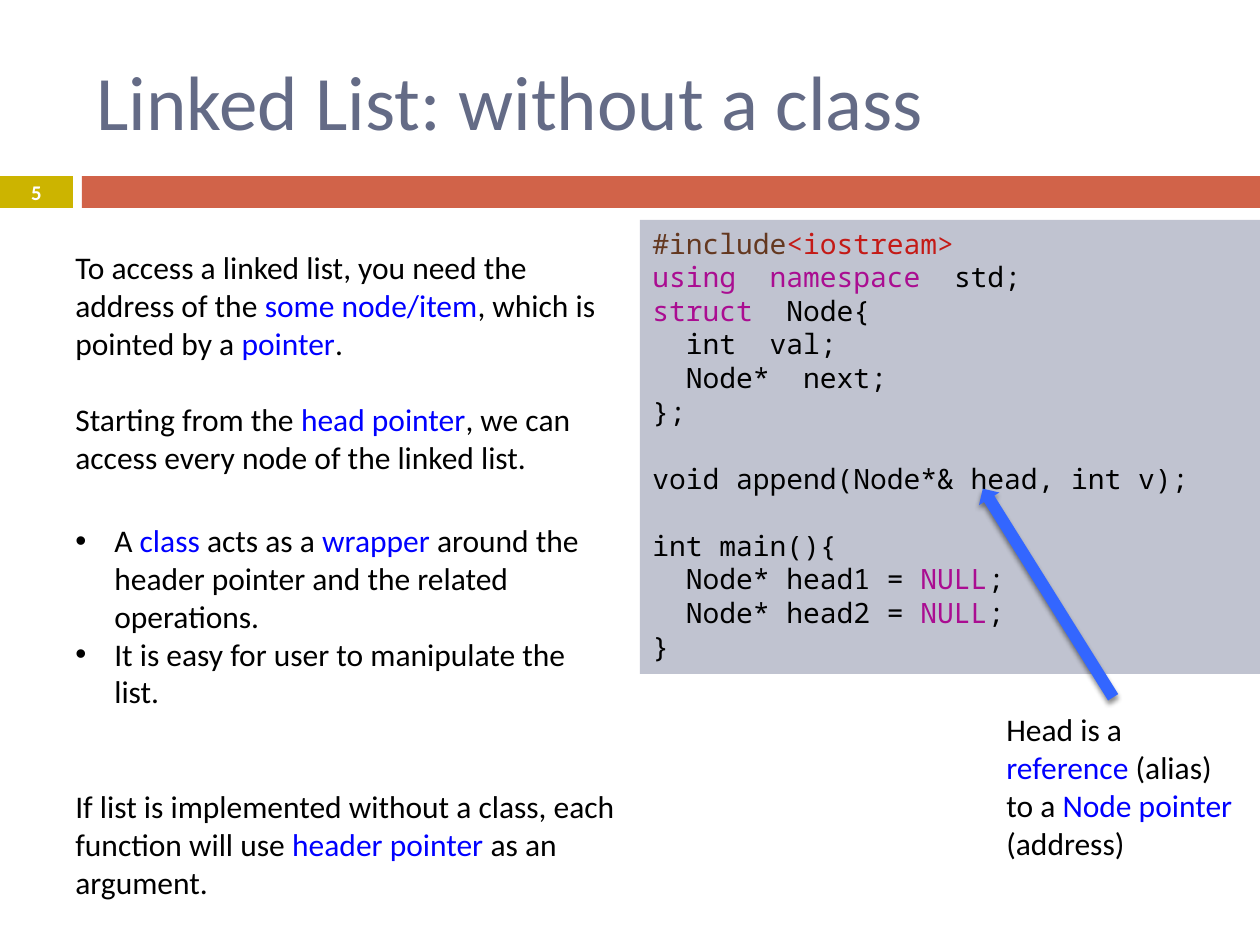
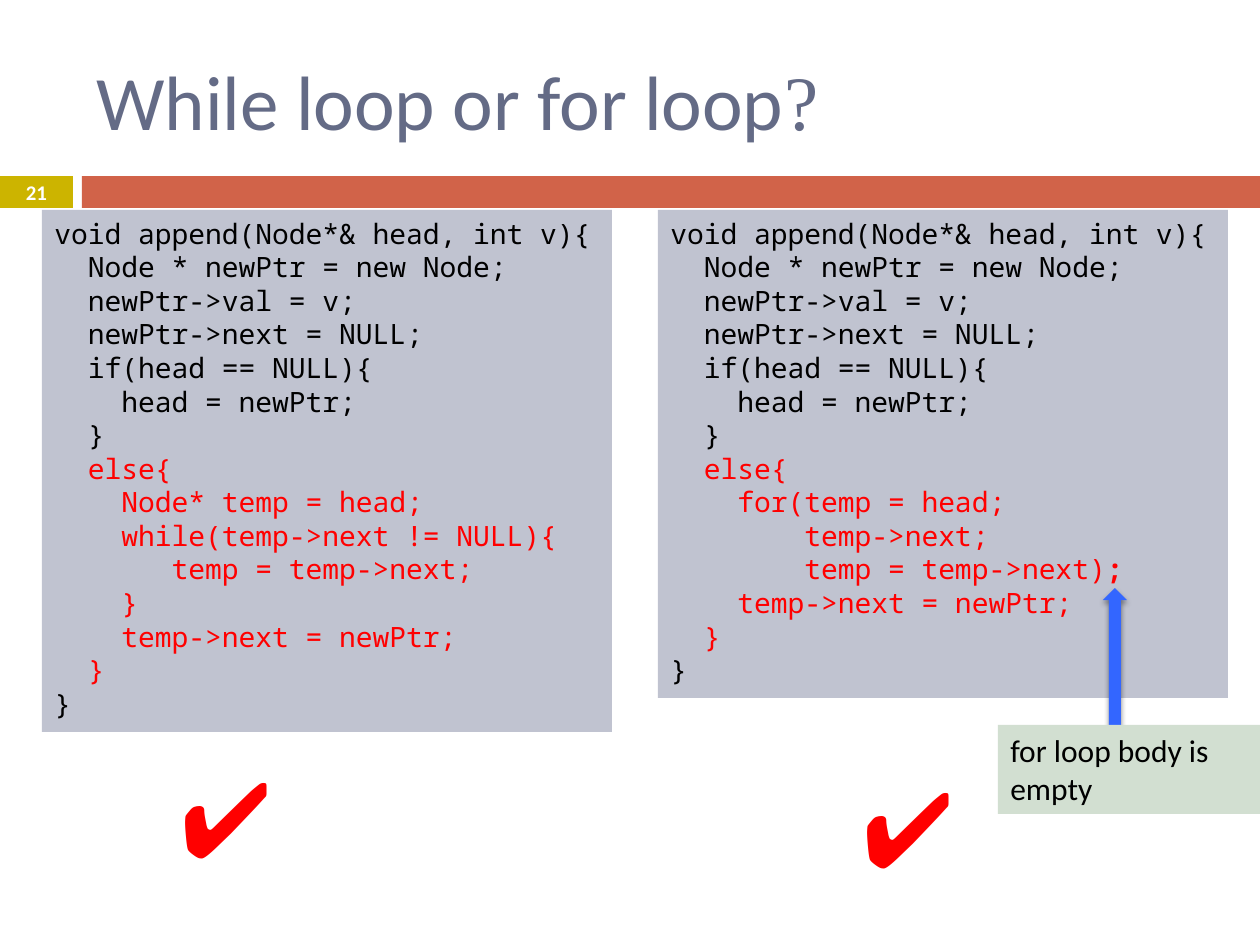
from lxml.etree import SubElement
from pptx import Presentation
from pptx.dml.color import RGBColor
from pptx.enum.shapes import MSO_SHAPE
from pptx.enum.text import MSO_ANCHOR, PP_ALIGN
from pptx.oxml.ns import qn
from pptx.util import Emu, Pt

SCALE = 914400 / 126
COLORS = {
    "title": "646B86",
    "number_tab": "CCB400",
    "band": "D16349",
    "code_panel": "C0C3D0",
    "note_panel": "D2DFD1",
    "arrow": "3366FF",
    "white": "FFFFFF",
    "black": "000000",
    "blue": "0000FF",
    "red": "FF0000",
    "keyword": "AA0D91",
    "directive": "643820",
    "header": "C41A16",
}
BODY_FONT = "Calibri"
CODE_FONT = "Noto Sans Mono"
BODY_LINE = 22
CODE_LINE = 19.2

INTRO = [
    ["To access a linked list, you need the address of the ", ("some node/item", "blue"),
     ", which is pointed by a ", ("pointer", "blue"), "."],
    ["Starting from the ", ("head pointer", "blue"),
     ", we can access every node of the linked list."],
]
WRAPPER_POINTS = [
    ["A ", ("class", "blue"), " acts as a ", ("wrapper", "blue"),
     " around the header pointer and the related operations."],
    ["It is easy for user to manipulate the list."],
    ["If list is implemented without a class, each function will use ",
     ("header pointer ", "blue"), "as an argument."],
]
REFERENCE_NOTE = [
    ["Head is a ", ("reference", "blue"), " (alias) to a ",
     ("Node pointer ", "blue"), "(address)"],
]
NODE_CODE = [
    [("#include", "directive"), ("<iostream>", "header")],
    [("using  namespace  ", "keyword"), "std;"],
    [("struct", "keyword"), "  Node{"],
    ["  int  val;"],
    ["  Node*  next;"],
    ["};"],
    ["void append(Node*& head, int v);"],
    ["int main(){"],
    ["  Node* head1 = ", ("NULL", "keyword"), ";"],
    ["  Node* head2 = ", ("NULL", "keyword"), ";"],
    ["}"],
]
APPEND_START = [
    ["void append(Node*& head, int v){"],
    ["  Node * newPtr = new Node;"],
    ["  newPtr->val = v;"],
    ["  newPtr->next = NULL;"],
    ["  if(head == NULL){"],
    ["    head = newPtr;"],
    ["  }"],
    [("  else{", "red")],
]
WHILE_LOOP = [
    [("    Node* temp = head;", "red")],
    [("    while(temp->next != NULL){", "red")],
    [("       temp = temp->next;", "red")],
    [("    }", "red")],
]
FOR_LOOP = [
    [("    for(temp = head;", "red")],
    [("        temp->next;", "red")],
    [("        temp = temp->next)", "red"), (";", "red", True)],
]
APPEND_END = [
    [("    temp->next = newPtr;", "red")],
    [("  }", "red")],
    ["}"],
]


def px(*lengths):
    return [Emu(round(length * SCALE)) for length in lengths]


def rgb(name):
    return RGBColor.from_string(COLORS[name])


def format_run(run, size, font, color, bold=False):
    run.font.size = Pt(size)
    run.font.name = font
    run.font.bold = bold
    run.font.color.rgb = rgb(color)


def set_bullet(paragraph):
    properties = paragraph._p.get_or_add_pPr()
    indent = px(39)[0]
    properties.set("marL", str(indent))
    properties.set("indent", str(-indent))
    SubElement(properties, qn("a:buFont")).set("typeface", "Arial")
    SubElement(properties, qn("a:buChar")).set("char", "•")


def write_lines(shape, lines, size=18, font=BODY_FONT, gaps=None, bullets=()):
    text_frame = shape.text_frame
    text_frame.word_wrap = True
    text_frame.vertical_anchor = MSO_ANCHOR.TOP
    for index, line in enumerate(lines):
        paragraph = text_frame.add_paragraph() if index else text_frame.paragraphs[0]
        paragraph.alignment = PP_ALIGN.LEFT
        if gaps and index in gaps:
            paragraph.space_before = Pt(gaps[index])
        if index in bullets:
            set_bullet(paragraph)
        for part in line:
            text, *style = (part, "black") if isinstance(part, str) else part
            run = paragraph.add_run()
            run.text = text
            format_run(run, size, font, *style)


def add_block(slide, box, fill, kind=MSO_SHAPE.RECTANGLE):
    shape = slide.shapes.add_shape(kind, *px(*box))
    shape.shadow.inherit = False
    shape.fill.solid()
    shape.fill.fore_color.rgb = rgb(fill)
    shape.line.fill.background()
    return shape


def add_text(slide, box, lines, **options):
    shape = slide.shapes.add_textbox(*px(*box))
    write_lines(shape, lines, **options)
    return shape


def add_code(slide, box, lines, gaps=None):
    write_lines(add_block(slide, box, "code_panel"), lines, 16, CODE_FONT, gaps)


def add_arrow(slide, box, rotation):
    arrow = add_block(slide, box, "arrow", MSO_SHAPE.RIGHT_ARROW)
    arrow.rotation = rotation
    effects = arrow._element.spPr.find(qn("a:effectLst"))
    shadow = SubElement(effects, qn("a:outerShdw"), blurRad=str(Pt(3)),
                        dist=str(Pt(2.4)), dir="5400000", rotWithShape="0")
    color = SubElement(shadow, qn("a:srgbClr"), val=COLORS["black"])
    SubElement(color, qn("a:alpha"), val="45000")


def add_check(slide, left, top):
    add_text(slide, (left, top, 223, 140), [[("✔", "red")]], size=60, font="Arial")


def add_base_slide(presentation, title, number):
    slide = presentation.slides.add_slide(presentation.slide_layouts[6])
    add_block(slide, (0, 176, 73, 32), "number_tab")
    add_block(slide, (82, 176, 1178, 32), "band")
    heading = add_text(slide, (84, 32, 1124, 136), [title], size=44)
    heading.text_frame.vertical_anchor = MSO_ANCHOR.MIDDLE
    tab = add_text(slide, (0, 175, 73, 34), [[(number, "white", True)]], size=11.9)
    tab.text_frame.vertical_anchor = MSO_ANCHOR.MIDDLE
    tab.text_frame.paragraphs[0].alignment = PP_ALIGN.CENTER
    return slide, heading


def build_without_class(presentation):
    slide, _ = add_base_slide(presentation, [("Linked List: without a class", "title")], "5")
    add_code(slide, (640, 220, 620, 454), NODE_CODE, gaps={6: CODE_LINE, 7: CODE_LINE})
    add_text(slide, (63, 242, 557, 242), INTRO, gaps={1: BODY_LINE})
    add_text(slide, (63, 515, 567, 356), WRAPPER_POINTS,
             gaps={2: 2 * BODY_LINE}, bullets=(0, 1))
    add_arrow(slide, (925, 581, 246, 24), 238)
    add_text(slide, (994, 704, 262, 165), REFERENCE_NOTE)


def build_loop_choice(presentation):
    slide, heading = add_base_slide(
        presentation, [("While loop or for loop", "title"), ("?", "title")], "21")
    heading.text_frame.paragraphs[0].runs[1].font.name = "Times New Roman"
    add_code(slide, (42, 210, 570, 522), APPEND_START + WHILE_LOOP + APPEND_END)
    add_code(slide, (658, 210, 570, 488), APPEND_START + FOR_LOOP + APPEND_END)
    add_arrow(slide, (1023, 668, 184, 24), 270)
    note = add_block(slide, (998, 725, 262, 89), "note_panel")
    write_lines(note, [["for loop body is empty"]])
    add_check(slide, 168, 746)
    add_check(slide, 850, 756)


def main():
    presentation = Presentation()
    presentation.slide_width, presentation.slide_height = px(1260, 945)
    build_without_class(presentation)
    build_loop_choice(presentation)
    presentation.save("out.pptx")


if __name__ == "__main__":
    main()
